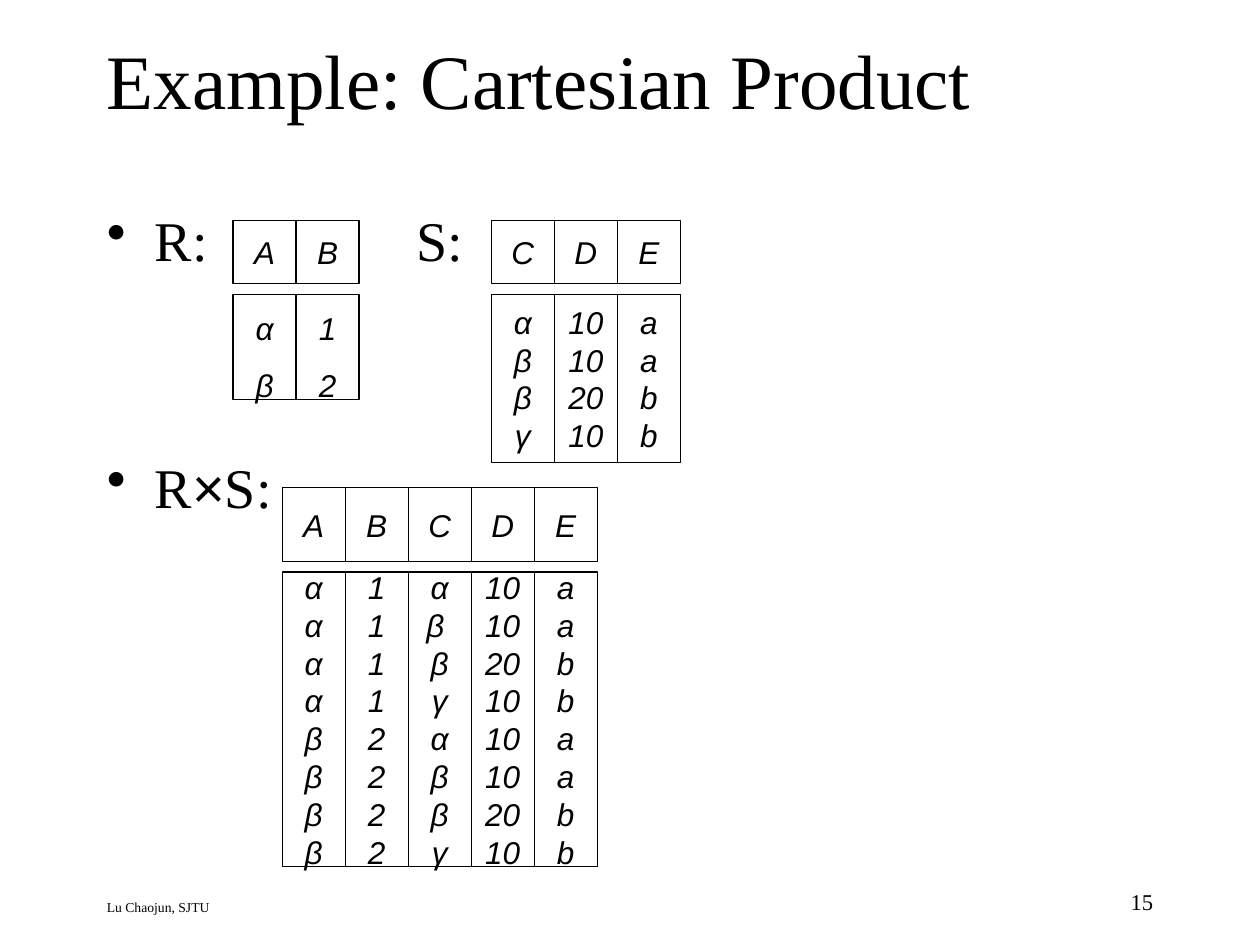
import dataclasses
import itertools
import typing

import pptx
import pptx.dml.color
import pptx.enum.shapes
import pptx.enum.text
import pptx.oxml
import pptx.oxml.ns
import pptx.util

HUES = {"ink": "000000", "paper": "FFFFFF"}
SERIF = "Times New Roman"
SANS = "Arial"
ALIGN = pptx.enum.text.PP_ALIGN
MIDDLE = pptx.enum.text.MSO_ANCHOR.MIDDLE
TOP = pptx.enum.text.MSO_ANCHOR.TOP
RECT = pptx.enum.shapes.MSO_SHAPE.RECTANGLE
UNIT = pptx.util.Inches(0.5)
GAP = 0.17


@dataclasses.dataclass
class Label:
    text: str
    col: float
    row: float
    wide: float
    high: float
    size: float
    align: typing.Any = ALIGN.LEFT
    anchor: typing.Any = TOP


@dataclasses.dataclass
class Grid:
    names: str
    rows: list
    col: float
    row: float
    head: float
    body: float
    lead: float = 1.0


def hue(name: str) -> pptx.dml.color.RGBColor:
    return pptx.dml.color.RGBColor.from_string(HUES[name])


def place(*spans: float) -> list:
    return [round(span * UNIT) for span in spans]


def style(font: typing.Any, face: str, size: float) -> None:
    font.name = face
    font.size = pptx.util.Pt(size)
    font.color.rgb = hue("ink")


def draw_label(slide: typing.Any, label: Label) -> None:
    box = slide.shapes.add_textbox(*place(label.col, label.row, label.wide, label.high))
    frame = box.text_frame
    frame.word_wrap = True
    frame.vertical_anchor = label.anchor
    para = frame.paragraphs[0]
    para.text = label.text
    para.alignment = label.align
    style(para.font, SERIF, label.size)


def draw_cell(slide: typing.Any, lines: typing.Sequence, spot: tuple, lead: float) -> None:
    cell = slide.shapes.add_shape(RECT, *place(*spot))
    cell.shadow.inherit = False
    cell.fill.solid()
    cell.fill.fore_color.rgb = hue("paper")
    cell.line.color.rgb = hue("ink")
    cell.line.width = pptx.util.Pt(0.75)
    frame = cell.text_frame
    frame.word_wrap = False
    frame.vertical_anchor = MIDDLE
    frame.text = "\n".join(lines)
    for para in frame.paragraphs:
        para.alignment = ALIGN.CENTER
        para.line_spacing = lead
        style(para.font, SANS, 18)
        para.font.italic = True


def draw_grid(slide: typing.Any, grid: Grid) -> None:
    low = grid.row + grid.head + GAP
    for step, (name, vals) in enumerate(zip(grid.names, zip(*grid.rows))):
        col = grid.col + step
        draw_cell(slide, [name], (col, grid.row, 1, grid.head), 1.0)
        draw_cell(slide, vals, (col, low, 1, grid.body), grid.lead)


def add_bullet(para: typing.Any, stop: float) -> None:
    props = para._p.get_or_add_pPr()
    props.set("marL", str(pptx.util.Inches(0.38)))
    props.set("indent", str(-pptx.util.Inches(0.38)))
    space = pptx.oxml.ns.nsdecls("a")
    for xml in (
        f'<a:buChar {space} char="•"/>',
        f'<a:tabLst {space}><a:tab pos="{pptx.util.Inches(stop)}" algn="l"/></a:tabLst>',
    ):
        props.append(pptx.oxml.parse_xml(xml))


def draw_list(slide: typing.Any) -> None:
    box = slide.shapes.add_textbox(*place(1.5, 3.17, 17, 10.17))
    frame = box.text_frame
    frame.word_wrap = True
    items = [
        (8, [("R:\tS:", SERIF)]),
        (102.6, [("R", SERIF), ("×", SANS), ("S:", SERIF)]),
    ]
    for step, (space, runs) in enumerate(items):
        para = frame.add_paragraph() if step else frame.paragraphs[0]
        para.space_before = pptx.util.Pt(space)
        add_bullet(para, 2.46)
        for text, face in runs:
            run = para.add_run()
            run.text = text
            style(run.font, face, 32)


def main() -> None:
    deck = pptx.Presentation()
    deck.slide_width = 20 * UNIT
    deck.slide_height = 15 * UNIT
    slide = deck.slides.add_slide(deck.slide_layouts[6])
    labels = [
        Label("Lu Chaojun, SJTU", 1.5, 14.17, 11.6, 0.5, 7.8),
        Label("15", 14.33, 14, 4.17, 0.67, 12.9, ALIGN.RIGHT),
        Label("Example: Cartesian Product", 1.5, 0, 17, 2.5, 44, anchor=MIDDLE),
    ]
    for label in labels:
        draw_label(slide, label)
    draw_list(slide)
    left = [("α", "1"), ("β", "2")]
    right = [("α", "10", "a"), ("β", "10", "a"), ("β", "20", "b"), ("γ", "10", "b")]
    cross = [one + two for one, two in itertools.product(left, right)]
    cross[1] = ("α", "1", "β ", "10", "a")
    grids = [
        Grid("AB", left, 3.7, 3.5, 1, 1.67, 1.5),
        Grid("CDE", right, 7.8, 3.5, 1, 2.67),
        Grid("ABCDE", cross, 4.48, 7.74, 1.17, 4.67),
    ]
    for grid in grids:
        draw_grid(slide, grid)
    deck.save("out.pptx")


if __name__ == "__main__":
    main()
